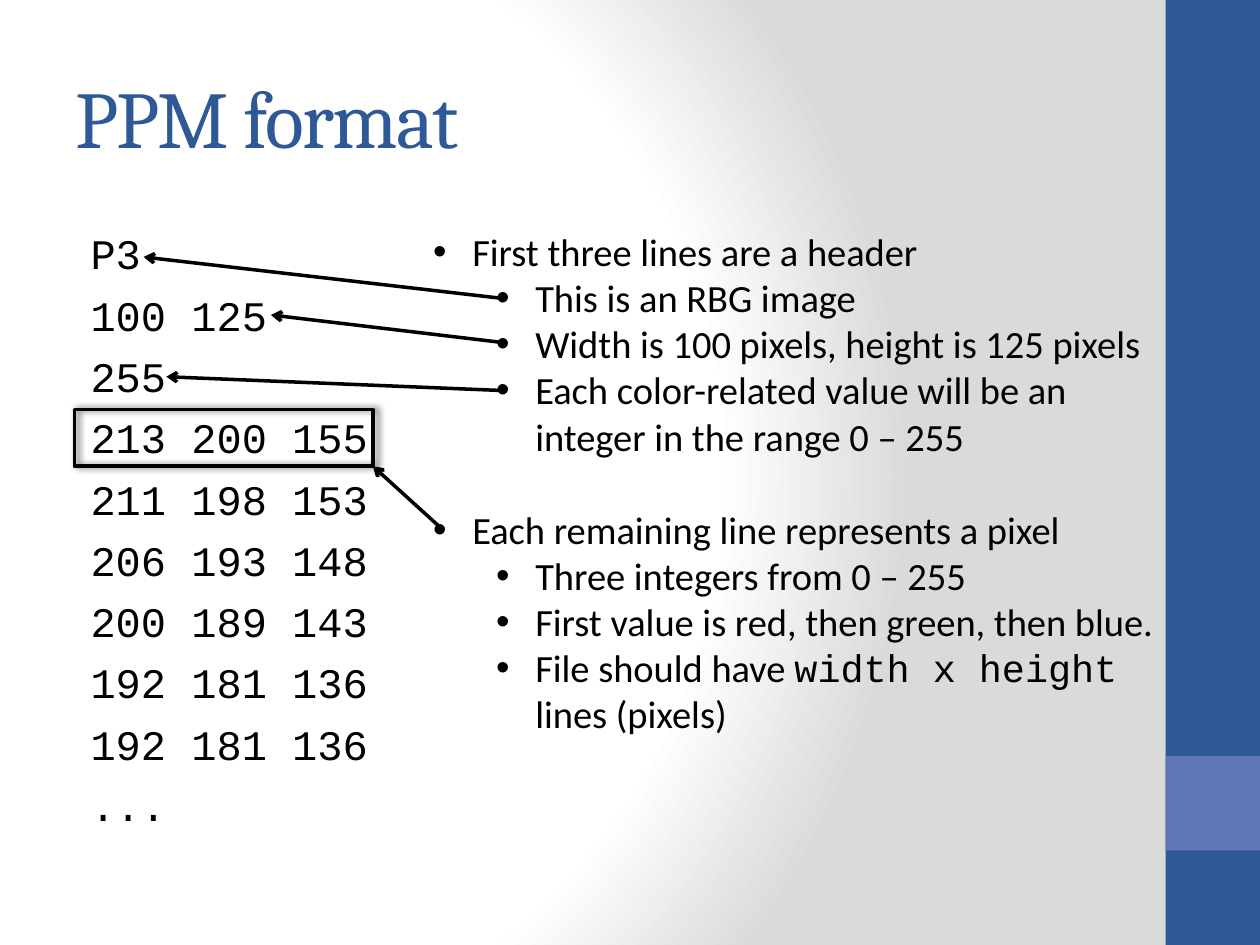
"""Build the PPM format slide."""
from dataclasses import dataclass

import pptx
import pptx.dml.color
import pptx.enum.shapes
import pptx.enum.text
import pptx.oxml
import pptx.oxml.ns
import pptx.util

Inches = pptx.util.Inches
Pt = pptx.util.Pt
NAMESPACE = pptx.oxml.ns.nsdecls("a")
COLORS = {"blue": "2F5897", "violet": "6076B4", "ink": "000000",
          "paper": "FFFFFF", "gray": "DADADA"}


@dataclass
class Box:
    left: float
    top: float
    width: float
    height: float


@dataclass
class Style:
    font: str
    size: float
    color: str = "ink"


@dataclass
class Bullet:
    pieces: list[str]
    level: int = 0
    space_before: float = 0


@dataclass
class Pointer:
    start: tuple[float, float]
    end: tuple[float, float]


TITLE = Style("Cambria", 46, "blue")
CODE = Style("Courier New", 24)
NOTE = Style("Calibri", 22)
INLINE_CODE = Style("Courier New", 22)

FILE_LINES = ["P3", "100 125", "255", "213 200 155", "211 198 153", "206 193 148",
              "200 189 143", "192 181 136", "192 181 136", "..."]
BULLETS = [
    Bullet(["First three lines are a header"]),
    Bullet(["This is an RBG image"], 1),
    Bullet(["Width is 100 pixels, height is 125 pixels"], 1),
    Bullet(["Each color-related value will be an integer in the range 0 – 255"], 1),
    Bullet(["Each remaining line represents a pixel"], space_before=26.8),
    Bullet(["Three integers from 0 – 255"], 1),
    Bullet(["First value is red, then green, then blue."], 1),
    Bullet(["File should have ", "width x height ", "lines (pixels)"], 1),
]
POINTERS = [
    Pointer((4, 2.37), (1.14, 2.04)),
    Pointer((4, 2.72), (2.15, 2.5)),
    Pointer((4, 3.1), (1.32, 2.99)),
    Pointer((3.51, 4.2), (2.96, 3.7)),
]


def rgb(name: str) -> pptx.dml.color.RGBColor:
    return pptx.dml.color.RGBColor.from_string(COLORS[name])


def element(xml: str):
    tag, rest = xml[1:].split(" ", 1) if " " in xml else (xml[1:-2], "/>")
    return pptx.oxml.parse_xml(f"<{tag} {NAMESPACE} {rest}")


def paint_background(slide) -> None:
    slide.background.fill.gradient()
    gradient = slide.element.find(".//" + pptx.oxml.ns.qn("a:gradFill"))
    for child in list(gradient):
        gradient.remove(child)
    stops = "".join(f'<a:gs pos="{position * 1000}"><a:srgbClr val="{COLORS[name]}"/></a:gs>'
                    for position, name in ((0, "paper"), (75, "paper"), (100, "gray")))
    gradient.append(element(f"<a:gsLst >{stops}</a:gsLst>"))
    gradient.append(element('<a:path path="circle"><a:fillToRect l="20000" t="50000" '
                            'r="100000" b="50000"/></a:path>'))


def add_rectangle(slide, box: Box):
    shape = slide.shapes.add_shape(
        pptx.enum.shapes.MSO_SHAPE.RECTANGLE, Inches(box.left), Inches(box.top),
        Inches(box.width), Inches(box.height))
    shape.shadow.inherit = False
    return shape


def add_band(slide, box: Box, color: str) -> None:
    band = add_rectangle(slide, box)
    band.fill.solid()
    band.fill.fore_color.rgb = rgb(color)
    band.line.fill.background()


def add_pixel_frame(slide, box: Box) -> None:
    frame = add_rectangle(slide, box)
    frame.fill.background()
    frame.line.color.rgb = rgb("ink")
    frame.line.width = Pt(2)
    effects = frame.element.spPr.find(pptx.oxml.ns.qn("a:effectLst"))
    effects.append(element(
        '<a:outerShdw blurRad="50800" dist="25400" dir="0" rotWithShape="0">'
        f'<a:srgbClr val="{COLORS["ink"]}"><a:alpha val="60000"/></a:srgbClr></a:outerShdw>'))


def add_text_frame(slide, box: Box):
    text_box = slide.shapes.add_textbox(Inches(box.left), Inches(box.top),
                                        Inches(box.width), Inches(box.height))
    text_box.text_frame.word_wrap = True
    return text_box.text_frame


def format_run(run, style: Style) -> None:
    run.font.name = style.font
    run.font.size = Pt(style.size)
    run.font.color.rgb = rgb(style.color)


def add_title(slide, box: Box, text: str) -> None:
    text_frame = add_text_frame(slide, box)
    text_frame.vertical_anchor = pptx.enum.text.MSO_ANCHOR.MIDDLE
    text_frame.text = text
    run = text_frame.paragraphs[0].runs[0]
    format_run(run, TITLE)
    run.font._element.set("spc", "-100")


def add_file_lines(slide, box: Box) -> None:
    text_frame = add_text_frame(slide, box)
    text_frame.text = "\n".join(FILE_LINES)
    for paragraph in text_frame.paragraphs:
        paragraph.space_before = Pt(6.2)
        paragraph._p.get_or_add_pPr().set("marL", str(Inches(0.12)))
        format_run(paragraph.runs[0], CODE)


def add_bullets(slide, box: Box) -> None:
    text_frame = add_text_frame(slide, box)
    for index, bullet in enumerate(BULLETS):
        paragraph = text_frame.add_paragraph() if index else text_frame.paragraphs[0]
        paragraph.level = bullet.level
        paragraph.space_before = Pt(bullet.space_before)
        properties = paragraph._p.get_or_add_pPr()
        properties.set("marL", str(Inches(0.31 + 0.5 * bullet.level)))
        properties.set("indent", str(Inches(-0.31)))
        properties.append(element('<a:buFont typeface="Arial"/>'))
        properties.append(element('<a:buChar char="•"/>'))
        for position, piece in enumerate(bullet.pieces):
            run = paragraph.add_run()
            run.text = piece
            format_run(run, INLINE_CODE if position % 2 else NOTE)


def add_pointer(slide, pointer: Pointer) -> None:
    connector = slide.shapes.add_connector(
        pptx.enum.shapes.MSO_CONNECTOR.STRAIGHT,
        *(Inches(value) for value in pointer.start + pointer.end))
    connector.line.color.rgb = rgb("ink")
    connector.line.width = Pt(2)
    connector.line._get_or_add_ln().append(element('<a:tailEnd type="arrow"/>'))
    connector._element.spPr.append(element("<a:effectLst/>"))


def main() -> None:
    presentation = pptx.Presentation()
    presentation.slide_width = Inches(10)
    presentation.slide_height = Inches(7.5)
    slide = presentation.slides.add_slide(presentation.slide_layouts[6])
    paint_background(slide)
    add_band(slide, Box(9.25, 0, 0.75, 7.5), "blue")
    add_band(slide, Box(9.25, 6, 0.75, 0.75), "violet")
    add_title(slide, Box(0.5, 0.3, 8.33, 1.25), "PPM format")
    add_file_lines(slide, Box(0.5, 1.76, 2.71, 5.25))
    add_bullets(slide, Box(3.34, 1.76, 5.93, 4.54))
    add_pixel_frame(slide, Box(0.59, 3.25, 2.37, 0.45))
    for pointer in POINTERS:
        add_pointer(slide, pointer)
    presentation.save("out.pptx")


main()
